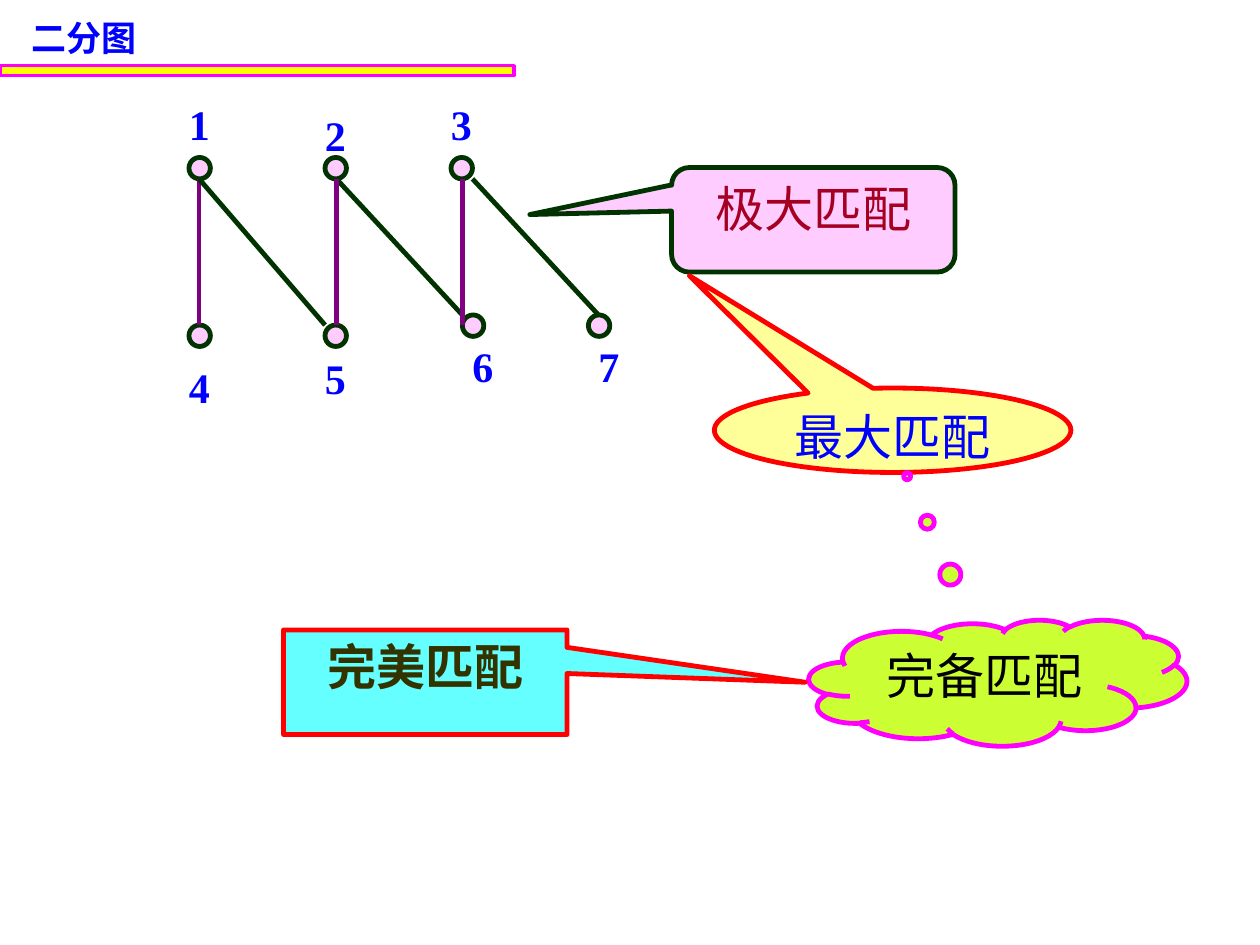
import pptx
import pptx.dml.color
import pptx.enum.shapes
import pptx.enum.text
import pptx.oxml.ns
import pptx.util
from pptx.util import Inches
from lxml import etree

RGBColor = pptx.dml.color.RGBColor
ShapeKind = pptx.enum.shapes.MSO_SHAPE
Align = pptx.enum.text.PP_ALIGN

BLUE = RGBColor(0x00, 0x00, 0xFF)
RED = RGBColor(0xFF, 0x00, 0x00)
MAGENTA = RGBColor(0xFF, 0x00, 0xFF)
YELLOW = RGBColor(0xFF, 0xFF, 0x00)
PINK = RGBColor(0xFF, 0xCC, 0xFF)
DARK_GREEN = RGBColor(0x00, 0x33, 0x00)
PURPLE = RGBColor(0x80, 0x00, 0x80)
CRIMSON = RGBColor(0xA5, 0x00, 0x21)
PALE_YELLOW = RGBColor(0xFF, 0xFF, 0x99)
LIME = RGBColor(0xCC, 0xFF, 0x33)
CYAN = RGBColor(0x66, 0xFF, 0xFF)
OLIVE = RGBColor(0x33, 0x33, 0x00)
BLACK = RGBColor(0x00, 0x00, 0x00)

LINE_WIDTH = 2.75
NODE_SIZE = 0.17


def write_text(shape, text, size=24, font="Times New Roman", color=BLUE,
               bold=True, align=Align.LEFT, wrap=True):
    frame = shape.text_frame
    frame.word_wrap = wrap
    frame.vertical_anchor = pptx.enum.text.MSO_ANCHOR.TOP
    frame.text = text
    paragraph = frame.paragraphs[0]
    paragraph.alignment = align
    run_font = paragraph.runs[0].font
    run_font.name = font
    run_font.size = pptx.util.Pt(size)
    run_font.bold = bold
    run_font.color.rgb = color


def add_outlined(kind, left, top, width, height, fill, line, line_width=LINE_WIDTH):
    shape = slide.shapes.add_shape(
        kind, Inches(left), Inches(top), Inches(width), Inches(height))
    shape.shadow.inherit = False
    shape.fill.solid()
    shape.fill.fore_color.rgb = fill
    shape.line.color.rgb = line
    shape.line.width = pptx.util.Pt(line_width)
    return shape


presentation = pptx.Presentation()
presentation.slide_width = Inches(10)
presentation.slide_height = Inches(7.5)
slide = presentation.slides.add_slide(presentation.slide_layouts[5])

title = slide.shapes.title
title.left, title.top = Inches(0.15), Inches(0.08)
title.width, title.height = Inches(2.68), Inches(0.43)
write_text(title, "二分图", size=20)
title.text_frame.auto_size = pptx.enum.text.MSO_AUTO_SIZE.NONE

add_outlined(ShapeKind.RECTANGLE, 0, 0.52, 4.08, 0.08, YELLOW, MAGENTA, 1.75)

nodes = [
    ("1", 1.5, 1.25, 1.4, 0.73),
    ("2", 2.58, 1.25, 2.48, 0.82),
    ("3", 3.58, 1.25, 3.48, 0.73),
    ("4", 1.5, 2.58, 1.4, 2.82),
    ("5", 2.58, 2.58, 2.48, 2.75),
    ("6", 3.67, 2.5, 3.65, 2.65),
    ("7", 4.67, 2.5, 4.65, 2.65),
]
for label, left, top, label_left, label_top in nodes:
    add_outlined(ShapeKind.OVAL, left, top, NODE_SIZE, NODE_SIZE, PINK, DARK_GREEN)
    label_box = slide.shapes.add_textbox(
        Inches(label_left), Inches(label_top), Inches(0.36), Inches(0.5))
    write_text(label_box, label, wrap=False)

edges = [
    (1.58, 1.58, 2.58, PURPLE),
    (1.58, 2.58, 2.58, DARK_GREEN),
    (2.67, 3.67, 2.5, DARK_GREEN),
    (3.75, 4.75, 2.5, DARK_GREEN),
    (2.67, 2.67, 2.58, PURPLE),
    (3.67, 3.67, 2.58, PURPLE),
]
for start_x, end_x, end_y, color in edges:
    edge = slide.shapes.add_connector(
        pptx.enum.shapes.MSO_CONNECTOR.STRAIGHT,
        Inches(start_x), Inches(1.42), Inches(end_x), Inches(end_y))
    edge.line.color.rgb = color
    edge.line.width = pptx.util.Pt(LINE_WIDTH)
    etree.SubElement(edge._element.spPr, pptx.oxml.ns.qn("a:effectLst"))

callouts = [
    ("极大匹配", ShapeKind.ROUNDED_RECTANGULAR_CALLOUT, (5.33, 1.33, 2.25, 0.83),
     (-1, -0.05, 0.17), PINK, DARK_GREEN, CRIMSON, False),
    ("最大匹配", ShapeKind.OVAL_CALLOUT, (5.67, 3.08, 2.83, 0.67),
     (-0.57, -1.83), PALE_YELLOW, RED, BLUE, False),
    ("完备匹配", ShapeKind.CLOUD_CALLOUT, (6.42, 4.92, 3, 1),
     (-0.24, -1.64), LIME, MAGENTA, BLACK, False),
    ("完美匹配", ShapeKind.RECTANGULAR_CALLOUT, (2.25, 5, 2.25, 0.83),
     (1.34, 0), CYAN, RED, OLIVE, True),
]
for text, kind, bounds, adjustments, fill, line, color, bold in callouts:
    callout = add_outlined(kind, *bounds, fill, line)
    for index, adjustment in enumerate(adjustments):
        callout.adjustments[index] = adjustment
    write_text(callout, text, size=28, font="Arial", color=color, bold=bold,
               align=Align.CENTER)

presentation.save("out.pptx")
